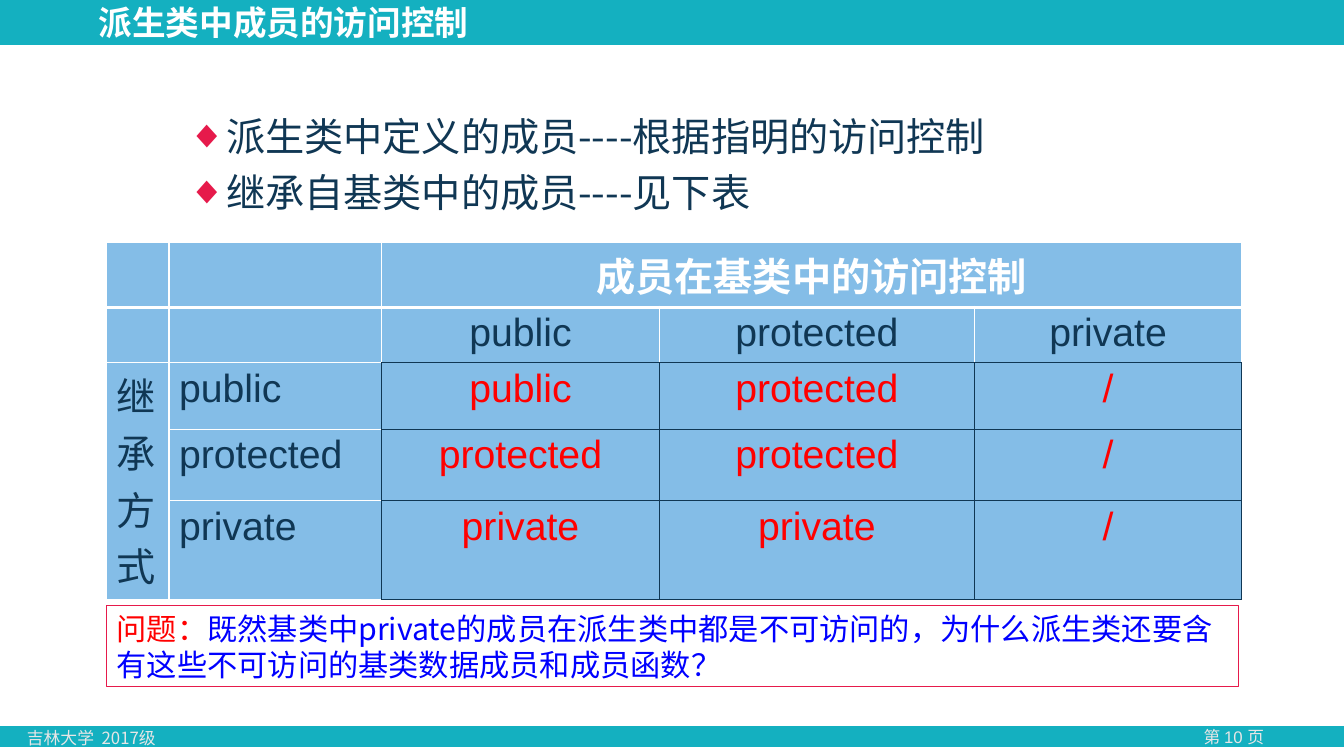
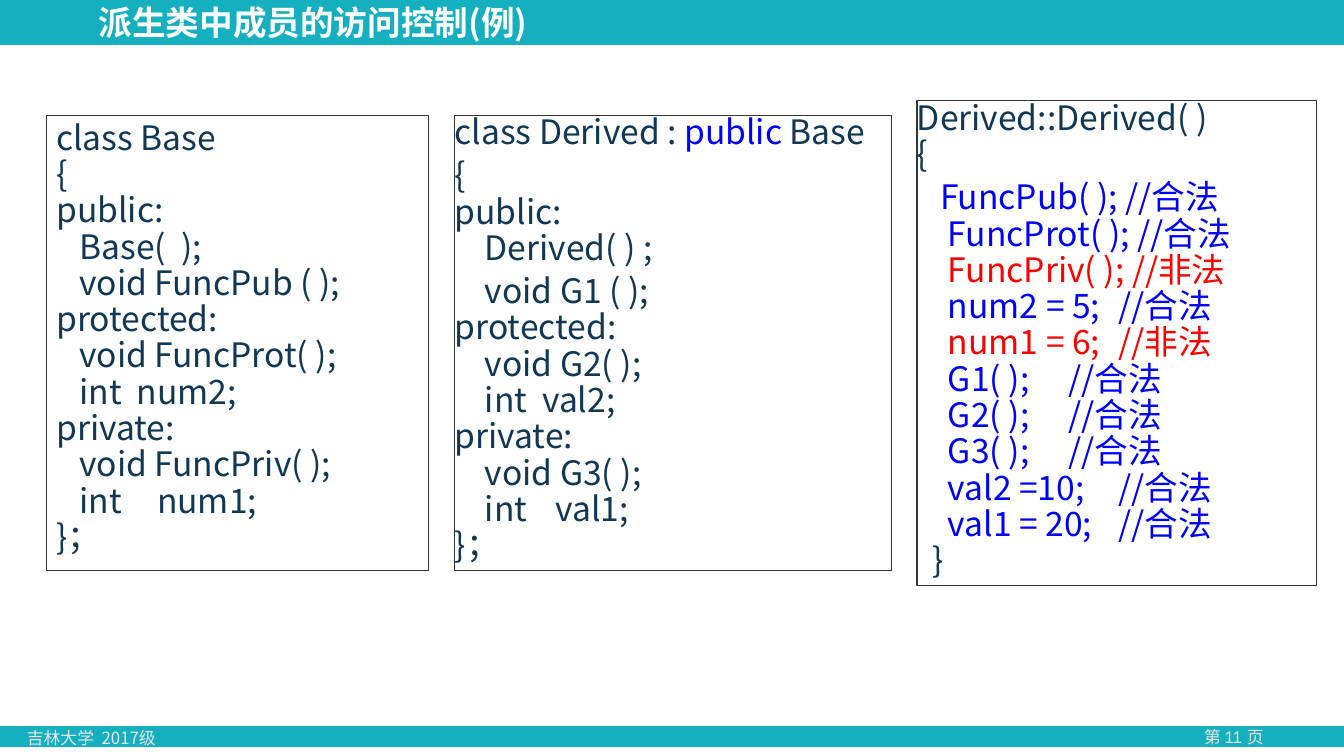
from lxml import etree
from pptx import Presentation
from pptx.dml.color import RGBColor
from pptx.enum import shapes, text
from pptx.oxml import ns
from pptx.util import Cm, Pt

TEAL = RGBColor(0x14, 0xB0, 0xC0)
WHITE = RGBColor(0xFF, 0xFF, 0xFF)
PALE = RGBColor(0xE7, 0xE6, 0xE6)
NAVY = RGBColor(0x10, 0x37, 0x54)
ROSE = RGBColor(0xE6, 0x1A, 0x4B)
SKY = RGBColor(0x84, 0xBD, 0xE7)
RED = RGBColor(0xFF, 0, 0)
BLUE = RGBColor(0, 0, 0xFF)
GRAY = RGBColor(0x34, 0x35, 0x37)
SANS = "Noto Sans CJK SC"
ARIAL = "Arial"
MID = text.PP_ALIGN.CENTER
TITLE = "派生类中成员的访问控制"


def node(parent, tag, **attrs):
    item = etree.SubElement(parent, ns.qn("a:" + tag))
    for key, val in attrs.items():
        item.set(key, str(val))
    return item


def add_run(para, words, color, size, font=SANS, bold=False):
    run = para.add_run()
    run.text = words
    run.font.size = Pt(size)
    run.font.bold = bold
    run.font.name = font
    run.font.color.rgb = color
    node(run._r.get_or_add_rPr(), "ea", typeface=SANS)


def add_line(frame, runs, size, pitch=None, before=0, indent=0, tab=0,
             font=SANS, bold=False, align=None):
    para = frame.paragraphs[0]
    if para.runs:
        para = frame.add_paragraph()
    para.alignment = align
    para.space_before = Pt(before)
    if pitch:
        para.line_spacing = Pt(pitch)
    props = para._p.get_or_add_pPr()
    if indent:
        props.set("marL", "0")
        props.set("indent", str(Cm(indent)))
    if tab:
        node(node(props, "tabLst"), "tab", pos=Cm(tab), algn="l")
    for words, color in runs:
        add_run(para, words, color, size, font, bold)
    return para


def add_box(slide, x, y, w, h, fill=None, edge=None, inset=True):
    box = slide.shapes.add_shape(shapes.MSO_SHAPE.RECTANGLE, Cm(x), Cm(y), Cm(w), Cm(h))
    box.shadow.inherit = False
    if fill:
        box.fill.solid()
        box.fill.fore_color.rgb = fill
    else:
        box.fill.background()
    if edge:
        box.line.color.rgb = edge
        box.line.width = Pt(0.75)
    else:
        box.line.fill.background()
    frame = box.text_frame
    frame.word_wrap = True
    frame.vertical_anchor = text.MSO_ANCHOR.TOP
    if not inset:
        frame.margin_left = frame.margin_right = 0
        frame.margin_top = frame.margin_bottom = 0
    return frame


def add_text(slide, x, y, w, h):
    frame = slide.shapes.add_textbox(Cm(x), Cm(y), Cm(w), Cm(h)).text_frame
    frame.word_wrap = True
    return frame


def add_page(deck, title, page):
    slide = deck.slides.add_slide(deck.slide_layouts[6])
    add_box(slide, 0, 0, 33.87, 18.82, TEAL)
    add_box(slide, 0, 1.14, 33.87, 17.15, WHITE)
    foot = add_text(slide, 29.24, 18.19, 3.71, 0.76)
    add_line(foot, [(f"第 {page} 页", PALE)], 12, font=ARIAL, align=MID)
    foot = add_text(slide, 0.43, 18.19, 4.67, 0.76)
    add_line(foot, [("吉林大学  2017级", PALE)], 12, 15)
    head = add_text(slide, 2.24, 0.1, 19.51, 0.99)
    head.vertical_anchor = text.MSO_ANCHOR.MIDDLE
    add_line(head, [(title, WHITE)], 24, 26, bold=True)
    return slide


def add_bullets(slide, items):
    frame = add_text(slide, 4.47, 2.84, 28.12, 3.63)
    for item in items:
        para = add_line(frame, [(item, NAVY)], 28, 30, 10)
        props = para._p.get_or_add_pPr()
        props.set("marL", str(Cm(0.97)))
        props.set("indent", str(-Cm(0.97)))
        node(node(props, "buClr"), "srgbClr", val=ROSE)
        node(props, "buFont", typeface=ARIAL)
        node(props, "buChar", char="◆")


def set_edges(cell, row, col):
    grid = row > 1 and col > 1
    edges = dict.fromkeys("LRTB", (NAVY if grid else WHITE, 1))
    if row == 0:
        edges["B"] = (WHITE, 3)
    if row == 1 and col > 1:
        edges["B"] = (NAVY, 1)
    if row > 1 and col == 1:
        edges["R"] = (NAVY, 1)
    props = cell._tc.get_or_add_tcPr()
    for side, (color, width) in edges.items():
        edge = node(props, "ln" + side, w=Pt(width))
        node(node(edge, "solidFill"), "srgbClr", val=color)


def add_grid(slide, rows, widths, heights):
    table = slide.shapes.add_table(len(rows), len(widths), Cm(2.69), Cm(6.1),
                                   Cm(sum(widths)), Cm(sum(heights))).table
    table.horz_banding = False
    for col, width in zip(table.columns, widths):
        col.width = Cm(width)
    for row, height in zip(table.rows, heights):
        row.height = Cm(height)
    for r, row in enumerate(rows):
        for c, words in enumerate(row):
            cell = table.cell(r, c)
            cell.margin_top = cell.margin_bottom = Cm(0.1)
            set_edges(cell, r, c)
            cell.fill.solid()
            cell.fill.fore_color.rgb = SKY
            if words:
                color = WHITE if r == 0 else RED if r > 1 and c > 1 else NAVY
                add_line(cell.text_frame, [(words, color)], 28, font=ARIAL,
                         bold=r == 0, align=MID if c > 1 else None)
    table.cell(0, 2).merge(table.cell(0, 4))
    table.cell(2, 0).merge(table.cell(4, 0))


def add_code(slide, at, lines, inset=False):
    frame = add_box(slide, *at, edge=GRAY, inset=inset)
    for words, indent, before, tab, color in lines:
        runs = words if isinstance(words, list) else [(words, color)]
        add_line(frame, runs, 24, 25.9, before, indent, tab)


def code(words, indent=0, before=0, tab=0, color=NAVY):
    return words, indent, before, tab, color


def call(words, tab=0, legal=True, indent=0.78, before=0):
    note = "//合法" if legal else "//非法"
    gap = "\t" if tab else " "
    return code(words + gap + note, indent, before, tab, BLUE if legal else RED)


def main():
    deck = Presentation()
    deck.slide_width, deck.slide_height = Cm(33.87), Cm(19.05)

    slide = add_page(deck, TITLE, 10)
    add_bullets(slide, ["派生类中定义的成员----根据指明的访问控制",
                        "继承自基类中的成员----见下表"])
    add_grid(slide, [
        ["", "", "成员在基类中的访问控制", "", ""],
        ["", "", "public", "protected", "private"],
        ["继承方式", "public", "public", "protected", "/"],
        ["", "protected", "protected", "protected", "/"],
        ["", "private", "private", "private", "/"],
    ], [1.57, 5.36, 6.99, 7.95, 6.73], [1.65, 1.35, 1.68, 1.8, 2.49])
    ask = add_box(slide, 2.69, 15.27, 28.52, 2.03, edge=ROSE)
    add_line(ask, [("问题：", RED),
                   ("既然基类中private的成员在派生类中都是不可访问的，为什么派生类还要"
                    "含有这些不可访问的基类数据成员和成员函数？", BLUE)], 21.6, 25.7, 3)

    slide = add_page(deck, TITLE + "(例)", 11)
    step = 0.58
    add_code(slide, (1.17, 2.92, 9.63, 11.46), [
        code("class Base"), code("{"), code("public:"),
        code("Base(  );", step), code("void FuncPub ( );", step),
        code("protected:"),
        code("void FuncProt( );", step), code("int  num2;", step),
        code("private:"),
        code("void FuncPriv( );", step), code("int\tnum1;", step, tab=2.39),
        code("}；"),
    ], inset=True)
    step = 0.76
    add_code(slide, (11.46, 2.9, 11.02, 11.48), [
        code([("class Derived : ", NAVY), ("public", BLUE), (" Base", NAVY)]),
        code("{", before=5), code("public:"),
        code("Derived( ) ;", step), code("void G1 ( );", step, 5),
        code("protected:"),
        code("void G2( );", step), code("int  val2;", step),
        code("private:"),
        code("void G3( );", step), code("int\tval1;", step, tab=2.57),
        code("}；"),
    ])
    add_code(slide, (23.11, 2.54, 10.06, 12.22), [
        code("Derived::Derived( )"), code("{"),
        call("FuncPub( );", indent=0.58, before=5),
        call("FuncProt( );"), call("FuncPriv( );", legal=False),
        call("num2 = 5;", 4.96), call("num1 = 6;", 4.96, False),
        call("G1( );", 5.82), call("G2( );", 5.82), call("G3( );", 4.69),
        call("val2 =10;", 4.96), call("val1 = 20;", 4.96),
        code("}", 0.38),
    ])
    deck.save("out.pptx")


main()
